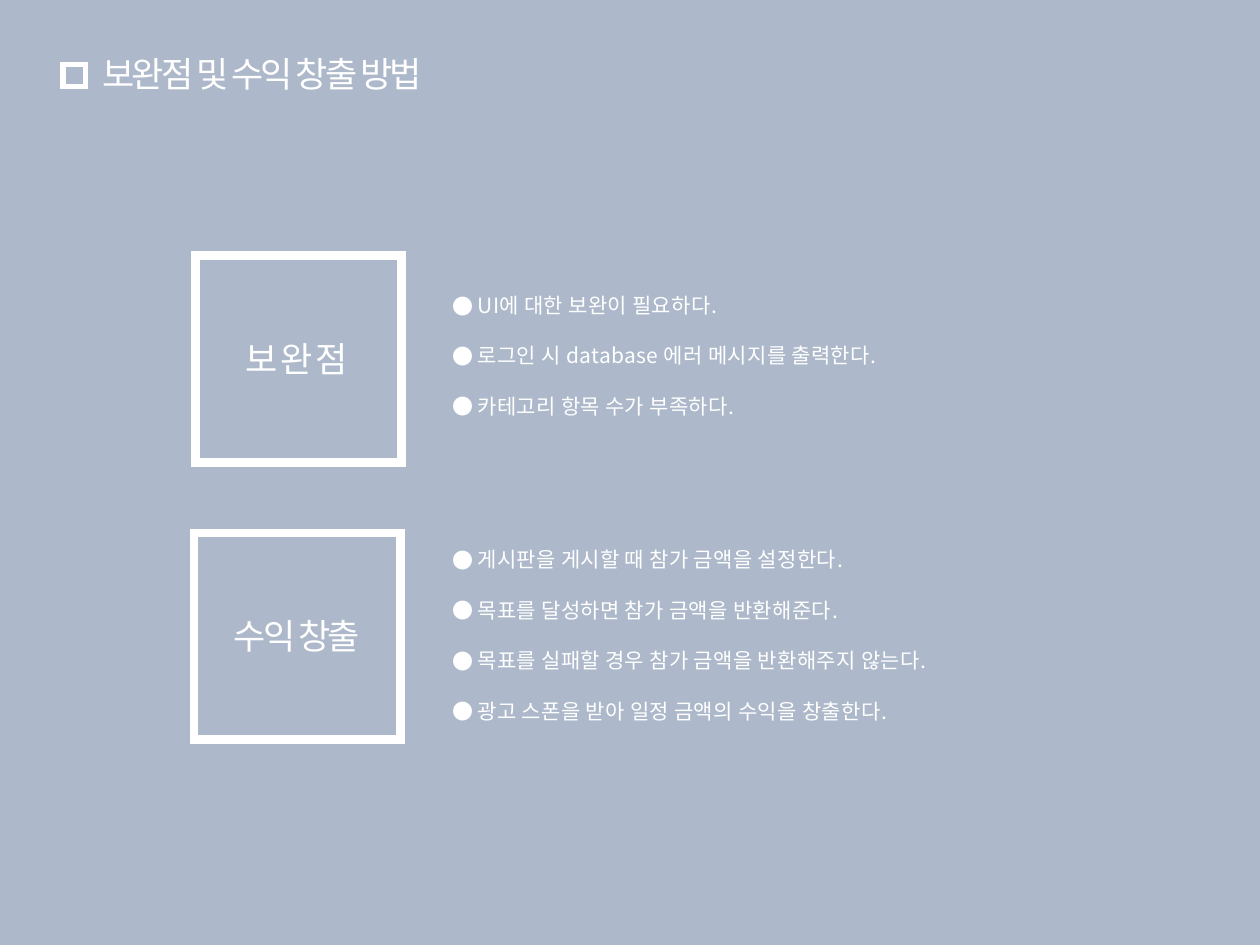
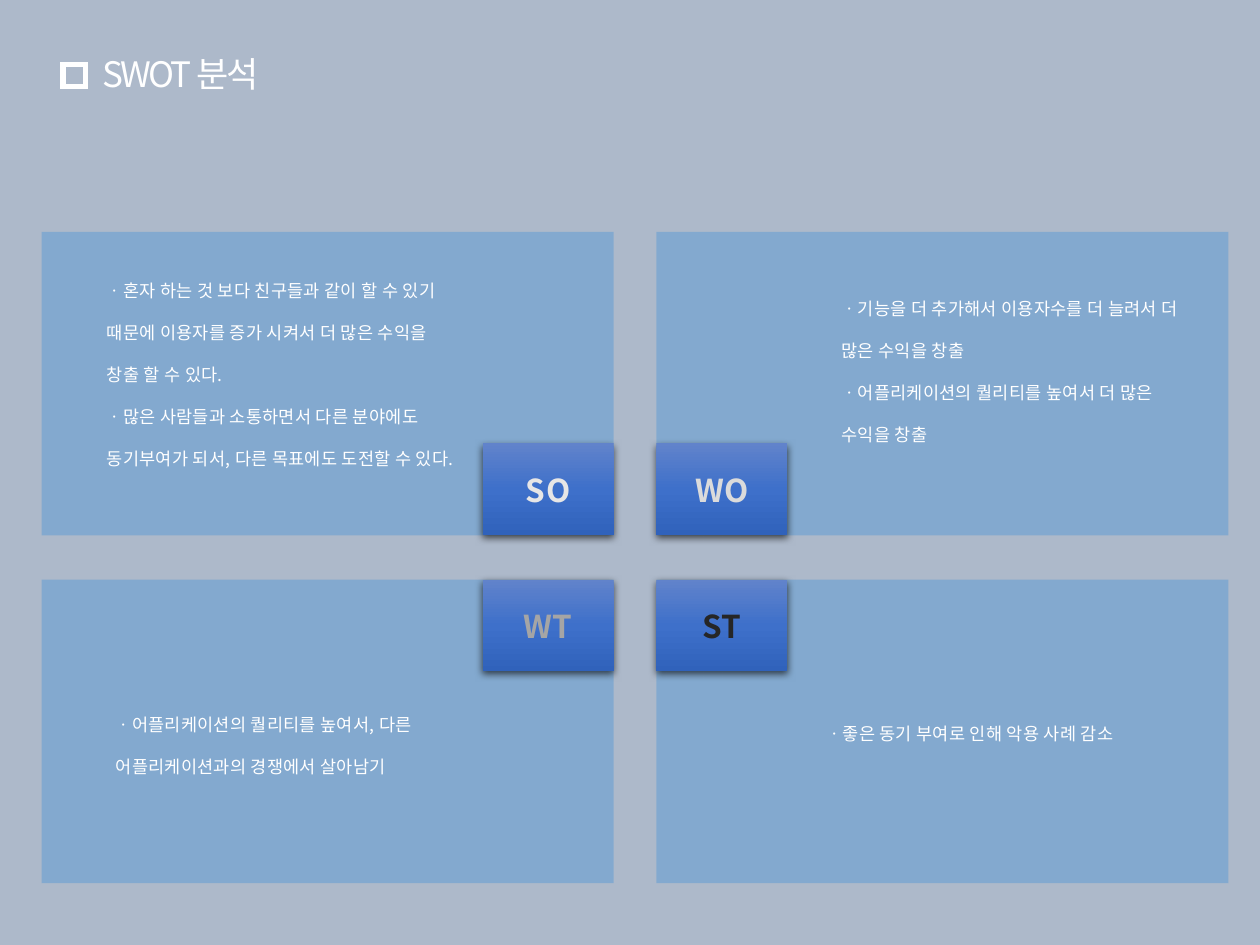
from dataclasses import dataclass

from pptx import Presentation
from pptx import util as u
from pptx.dml.color import RGBColor
from pptx.enum import shapes, text
from pptx.oxml import parse_xml
from pptx.oxml.ns import nsdecls, qn

FONT = "Noto Sans CJK KR"
BACK = RGBColor(0xAD, 0xB9, 0xCA)
WHITE = RGBColor(0xFF, 0xFF, 0xFF)
PANEL = RGBColor(0x5B, 0x9B, 0xD5)
PALE = RGBColor(0xE7, 0xE6, 0xE6)
LIGHT = RGBColor(0xDB, 0xDB, 0xDB)
GREY = RGBColor(0xA5, 0xA5, 0xA5)
DARK = RGBColor(0x26, 0x26, 0x26)
RAMP = (
    (0, RGBColor(0x61, 0x83, 0xCB)),
    (50, RGBColor(0x3E, 0x70, 0xCA)),
    (100, RGBColor(0x30, 0x62, 0xBB)),
)
LEFT = text.PP_ALIGN.LEFT
CENTER = text.PP_ALIGN.CENTER
TOP = text.MSO_ANCHOR.TOP
MIDDLE = text.MSO_ANCHOR.MIDDLE


@dataclass(frozen=True)
class Box:
    x: float
    y: float
    w: float
    h: float

    def place(self) -> tuple:
        return tuple(u.Inches(v) for v in (self.x, self.y, self.w, self.h))


@dataclass(frozen=True)
class Style:
    size: float
    color: RGBColor = WHITE
    align: text.PP_ALIGN = LEFT
    anchor: text.MSO_ANCHOR = TOP
    pitch: float = 1.2
    after: float = 0
    track: float = 0
    bold: bool = False


@dataclass(frozen=True)
class Topic:
    name: str
    frame: Box
    list: Box
    items: tuple


@dataclass(frozen=True)
class Cell:
    name: str
    color: RGBColor
    panel: Box
    badge: Box
    note: Box
    items: tuple
    track: float = 0


HEAD = Style(20, pitch=1.02, track=-1.5)
LABEL = Style(20, align=CENTER, track=-1.5)
ITEM = Style(12, after=14.4, track=0.2)
NOTE = Style(10, pitch=2.4, track=0.2)

TOPICS = (
    Topic("보 완 점", Box(1.55, 2.03, 1.64, 1.64), Box(3.49, 2.27, 4.68, 1.11), (
        "UI에 대한 보완이 필요하다.",
        "로그인 시 database 에러 메시지를 출력한다.",
        "카테고리 항목 수가 부족하다.",
    )),
    Topic("수익 창출", Box(1.54, 4.23, 1.64, 1.64), Box(3.49, 4.29, 5.21, 1.51), (
        "게시판을 게시할 때 참가 금액을 설정한다.",
        "목표를 달성하면 참가 금액을 반환해준다.",
        "목표를 실패할 경우 참가 금액을 반환해주지 않는다.",
        "광고 스폰을 받아 일정 금액의 수익을 창출한다.",
    )),
)

COLS, ROWS = (0.33, 5.21), (1.84, 4.6)
WIDE, HIGH = 4.54, 2.41
BADGE_W, BADGE_H = 1.04, 0.73


def cell(name: str, color: RGBColor, col: int, row: int, note: Box,
         items: tuple, track: float = 0) -> Cell:
    x, y = COLS[col], ROWS[row]
    badge = Box(x if col else x + WIDE - BADGE_W,
                y if row else y + HIGH - BADGE_H, BADGE_W, BADGE_H)
    return Cell(name, color, Box(x, y, WIDE, HIGH), badge, note, items, track)


CELLS = (
    cell("SO", PALE, 0, 0, Box(0.75, 2.01, 3, 1.74), (
        "ㆍ혼자 하는 것 보다 친구들과 같이 할 수 있기 때문에 이용자를 증가 시켜서 더 많은 수익을 창출 할 수 있다.",
        "ㆍ많은 사람들과 소통하면서 다른 분야에도 동기부여가 되서, 다른 목표에도 도전할 수 있다.",
    ), 0.5),
    cell("WO", LIGHT, 1, 0, Box(6.58, 2.15, 3, 1.4), (
        "ㆍ기능을 더 추가해서 이용자수를 더 늘려서 더 많은 수익을 창출",
        "ㆍ어플리케이션의 퀄리티를 높여서 더 많은 수익을 창출",
    )),
    cell("WT", GREY, 0, 1, Box(0.82, 5.45, 3, 0.73), (
        "ㆍ어플리케이션의 퀄리티를 높여서, 다른 어플리케이션과의 경쟁에서 살아남기",
    )),
    cell("ST", DARK, 1, 1, Box(6.46, 5.52, 3, 0.39), (
        "ㆍ좋은 동기 부여로 인해 악용 사례 감소",
    )),
)


def node(xml: str):
    tag, rest = xml[1:].split(" ", 1)
    return parse_xml(f"<{tag} {nsdecls('a')} {rest}")


def write(shape, lines: tuple, style: Style) -> None:
    frame = shape.text_frame
    frame.word_wrap = True
    frame.auto_size = text.MSO_AUTO_SIZE.NONE
    frame.vertical_anchor = style.anchor
    frame.text = "\n".join(lines)
    for para in frame.paragraphs:
        para.alignment = style.align
        para.line_spacing = u.Pt(style.size * style.pitch)
        para.space_before = u.Pt(0)
        para.space_after = u.Pt(style.after)
        font = para.font
        font.name, font.size, font.bold = FONT, u.Pt(style.size), style.bold
        font.color.rgb = style.color
    for prop in shape.element.iter(qn("a:defRPr")):
        prop.set("spc", str(round(style.track * 100)))
        prop.append(node(f'<a:ea typeface="{FONT}"/>'))


def bullet(shape) -> None:
    step = u.Inches(0.2)
    for prop in shape.element.iter(qn("a:pPr")):
        prop.set("marL", str(step))
        prop.set("indent", str(-step))
        mark = prop.find(qn("a:defRPr"))
        mark.addprevious(node(f'<a:buFont typeface="{FONT}"/>'))
        mark.addprevious(node('<a:buChar char="●"/>'))


def rect(slide, box: Box):
    shape = slide.shapes.add_shape(shapes.MSO_SHAPE.RECTANGLE, *box.place())
    shape.element.remove(shape.element.find(qn("p:style")))
    shape.fill.background()
    shape.line.fill.background()
    shape.shadow.inherit = False
    return shape


def outline(slide, box: Box, width: float):
    shape = rect(slide, box)
    shape.line.color.rgb = WHITE
    shape.line.width = u.Pt(width)
    edge = next(shape.element.iter(qn("a:ln")))
    edge.append(node('<a:miter lim="800000"/>'))
    return shape


def panel(slide, box: Box) -> None:
    shape = rect(slide, box)
    shape.fill.solid()
    shape.fill.fore_color.rgb = PANEL
    tint = next(shape.element.iter(qn("a:srgbClr")))
    tint.append(node('<a:alpha val="50000"/>'))


def badge(slide, item: Cell) -> None:
    shape = rect(slide, item.badge)
    shape.fill.gradient()
    shape.fill.gradient_angle = 270
    stops = next(shape.element.iter(qn("a:gsLst")))
    for stop in list(stops):
        stops.remove(stop)
    for pos, color in RAMP:
        stops.append(node(f'<a:gs pos="{pos * 1000}"><a:srgbClr val="{color}"/></a:gs>'))
    glow = next(shape.element.iter(qn("a:effectLst")))
    glow.append(node(
        f'<a:outerShdw blurRad="{u.Pt(4.5)}" dist="{u.Pt(1.5)}" dir="5400000" rotWithShape="0">'
        '<a:srgbClr val="000000"><a:alpha val="63000"/></a:srgbClr></a:outerShdw>'))
    write(shape, (item.name,), Style(18, item.color, CENTER, MIDDLE,
                                     track=item.track, bold=True))


def label(slide, box: Box, lines: tuple, style: Style) -> None:
    write(slide.shapes.add_textbox(*box.place()), lines, style)


def move(shape, box: Box) -> None:
    shape.left, shape.top, shape.width, shape.height = box.place()


def start(deck, layout: int, title: str, high: float):
    slide = deck.slides.add_slide(deck.slide_layouts[layout])
    move(slide.shapes.title, Box(0.71, 0.42, 8.58, high))
    write(slide.shapes.title, (title,), HEAD)
    return slide


def brand(deck, slide) -> None:
    master = deck.slide_master
    master.background.fill.solid()
    master.background.fill.fore_color.rgb = BACK
    mark = outline(slide, Box(0.5, 0.51, 0.18, 0.18), 3)
    master.shapes.element.append(mark.element)


def plans(deck):
    slide = start(deck, 3, "보완점 및 수익 창출 방법", 0.74)
    for slot, topic in enumerate(TOPICS, 1):
        outline(slide, topic.frame, 5)
        label(slide, Box(1.54, topic.frame.y + 0.6, 1.63, 0.44), (topic.name,), LABEL)
        body = slide.placeholders[slot]
        move(body, topic.list)
        write(body, topic.items, ITEM)
        bullet(body)
    return slide


def swot(deck) -> None:
    slide = start(deck, 5, "SWOT 분석", 0.56)
    for item in CELLS:
        panel(slide, item.panel)
    for item in CELLS:
        badge(slide, item)
        label(slide, item.note, item.items, NOTE)


def main() -> None:
    deck = Presentation()
    deck.slide_width, deck.slide_height = u.Inches(10), u.Inches(7.5)
    brand(deck, plans(deck))
    swot(deck)
    deck.save("out.pptx")


if __name__ == "__main__":
    main()
